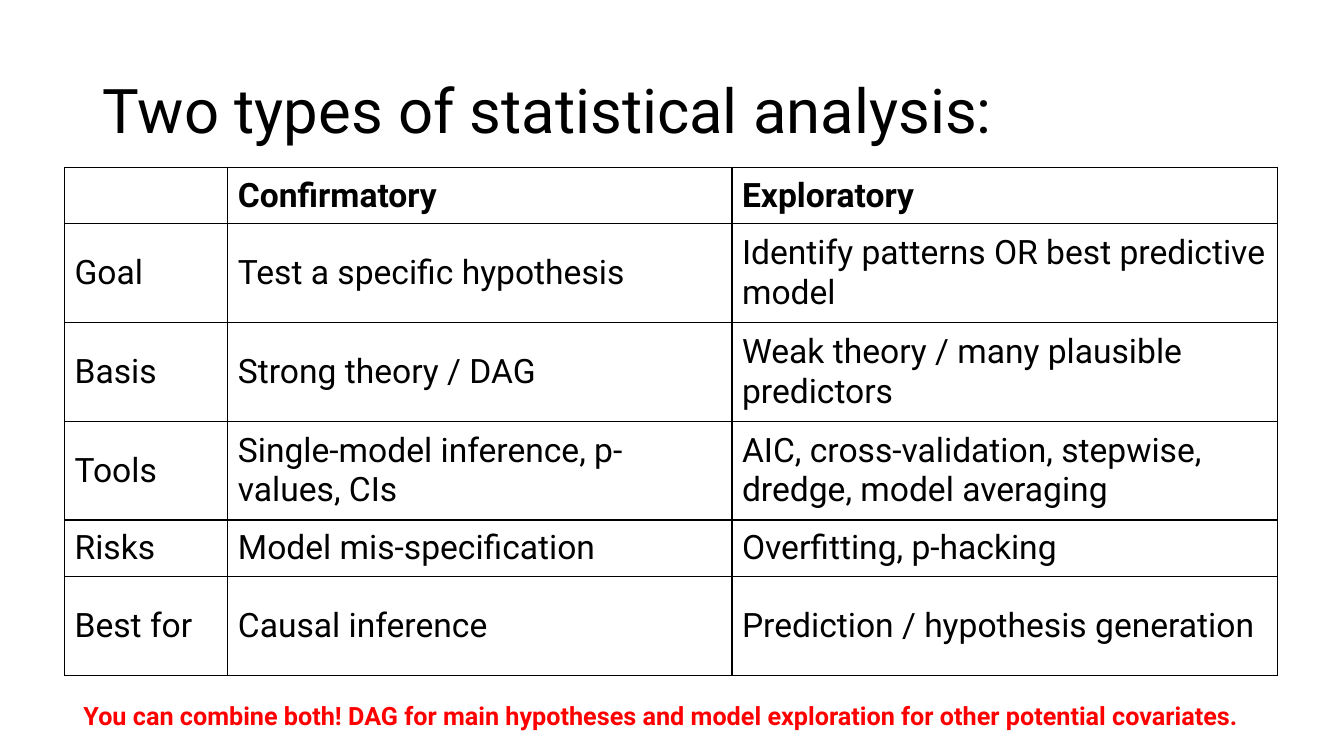
from lxml.etree import SubElement
from pptx import Presentation
from pptx.dml.color import RGBColor
from pptx.enum.text import MSO_ANCHOR as Anchor, MSO_AUTO_SIZE as AutoSize, PP_ALIGN as Align
from pptx.oxml import parse_xml
from pptx.oxml.ns import nsdecls, qn
from pptx.util import Inches, Pt

TITLE = "Two types of statistical analysis:"
ROWS = [
    ("", "Confirmatory", "Exploratory"),
    ("Goal", "Test a specific hypothesis", "Identify patterns OR best predictive model"),
    ("Basis", "Strong theory / DAG", "Weak theory / many plausible predictors"),
    ("Tools", "Single-model inference, p-values, CIs",
     "AIC, cross-validation, stepwise, dredge, model averaging"),
    ("Risks", "Model mis-specification", "Overfitting, p-hacking"),
    ("Best for", "Causal inference", "Prediction / hypothesis generation"),
]
NOTE = ("You can combine both! DAG for main hypotheses and model exploration "
        "for other potential covariates.")

FONT = "Roboto"
COLORS = {"text": "000000", "border": "000000", "note": "FF0000"}
COLUMN_WIDTHS = (1.62, 5, 5.41)
SHORT_ROW, TALL_ROW = 0.56, 0.98
ROW_HEIGHTS = (SHORT_ROW, TALL_ROW, TALL_ROW, TALL_ROW, SHORT_ROW, TALL_ROW)


def format_text(frame, size, color, bold=False):
    for para in frame.paragraphs:
        para.alignment = Align.LEFT
        for span in para.runs:
            span.font.name = FONT
            span.font.size = Pt(size)
            span.font.bold = bold
            span.font.color.rgb = RGBColor.from_string(COLORS[color])


def add_borders(cell, width=1):
    """Draw all four edges; they must come before the fill in the cell properties."""
    properties = cell._tc.get_or_add_tcPr()
    for position, side in enumerate(("lnL", "lnR", "lnT", "lnB")):
        line = parse_xml(f'<a:{side} {nsdecls("a")} w="{Pt(width)}"/>')
        fill = SubElement(line, qn("a:solidFill"))
        SubElement(fill, qn("a:srgbClr"), val=COLORS["border"])
        properties.insert(position, line)


def add_title(page):
    title = page.shapes.title
    title.left, title.top = Inches(0.92), Inches(0.4)
    title.width, title.height = Inches(11.5), Inches(1.45)
    frame = title.text_frame
    frame.text = TITLE
    frame.vertical_anchor = Anchor.MIDDLE
    frame.paragraphs[0].line_spacing = 0.9
    format_text(frame, 44, "text")


def add_comparison(page):
    table = page.shapes.add_table(
        len(ROWS), len(COLUMN_WIDTHS), Inches(0.64), Inches(1.66),
        Inches(sum(COLUMN_WIDTHS)), Inches(sum(ROW_HEIGHTS))).table
    table.horz_banding = False
    table.first_row = False
    for column, width in zip(table.columns, COLUMN_WIDTHS):
        column.width = Inches(width)
    for row_index, (row, height, texts) in enumerate(zip(table.rows, ROW_HEIGHTS, ROWS)):
        row.height = Inches(height)
        for cell, text in zip(row.cells, texts):
            cell.text_frame.text = text
            cell.vertical_anchor = Anchor.MIDDLE
            cell.fill.background()
            add_borders(cell)
            format_text(cell.text_frame, 24, "text", bold=row_index == 0)


def add_note(page):
    box = page.shapes.add_textbox(Inches(0.73), Inches(6.9), Inches(11.87), Inches(0.4))
    frame = box.text_frame
    frame.text = NOTE
    frame.word_wrap = False
    frame.auto_size = AutoSize.SHAPE_TO_FIT_TEXT
    format_text(frame, 18, "note", bold=True)


def main():
    deck = Presentation()
    deck.slide_width, deck.slide_height = Inches(13.33), Inches(7.5)
    title_only = deck.slide_layouts[5]
    page = deck.slides.add_slide(title_only)
    add_title(page)
    add_comparison(page)
    add_note(page)
    deck.save("out.pptx")


if __name__ == "__main__":
    main()
